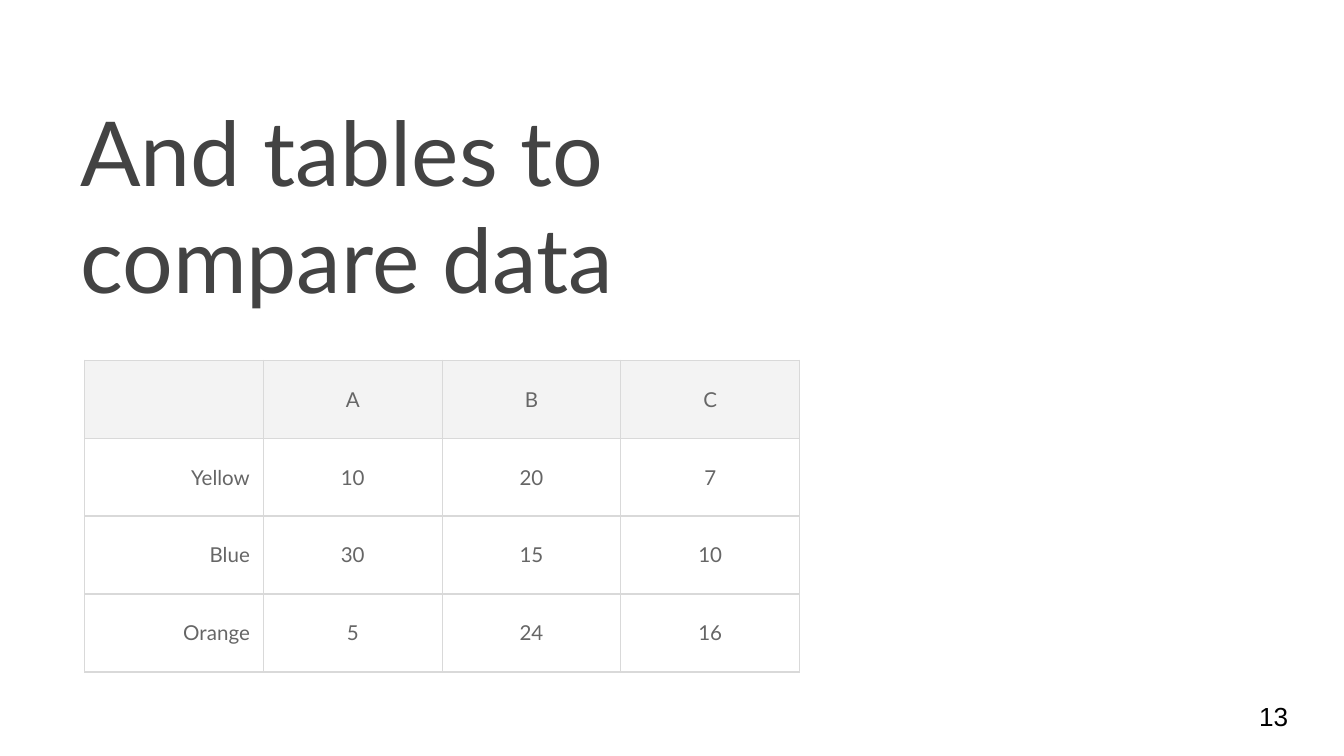
from dataclasses import dataclass

from lxml.etree import SubElement
from pptx import Presentation
from pptx.dml.color import RGBColor
from pptx.enum.text import MSO_ANCHOR, PP_ALIGN
from pptx.oxml.ns import qn
from pptx.slide import Slide
from pptx.table import _Cell
from pptx.text.text import TextFrame
from pptx.util import Inches, Pt

SLIDE_W = 10
SLIDE_H = SLIDE_W * 9 / 16
COL_W, ROW_H = 1.33, 0.58
BORDER, HEADER_FILL = "D9D9D9", "F3F3F3"
ROWS = [
    ("", "A", "B", "C"),
    ("Yellow", "10", "20", "7"),
    ("Blue", "30", "15", "10"),
    ("Orange", "5", "24", "16"),
]


@dataclass(frozen=True)
class Style:
    font: str
    size: float
    color: str


@dataclass(frozen=True)
class Label:
    text: str
    box: tuple[float, float, float, float]
    anchor: MSO_ANCHOR
    style: Style


CELL_STYLE = Style("Lato", 11, "666666")
LABELS = [
    Label("And tables to compare data", (0.5, 1.48, 6.03, 0.94),
          MSO_ANCHOR.BOTTOM, Style("Lato", 48, "434343")),
    Label("13", (9.27, 5.11, 0.6, 0.43),
          MSO_ANCHOR.MIDDLE, Style("Arial", 14, "000000")),
]


def rgb(value: str) -> RGBColor:
    return RGBColor.from_string(value)


def write(tf: TextFrame, text: str, style: Style, align: PP_ALIGN) -> None:
    tf.text = text
    p = tf.paragraphs[0]
    p.alignment = align
    for r in p.runs:
        r.font.name = style.font
        r.font.size = Pt(style.size)
        r.font.color.rgb = rgb(style.color)


def add_label(s: Slide, label: Label) -> None:
    tf = s.shapes.add_textbox(*map(Inches, label.box)).text_frame
    tf.word_wrap = True
    tf.vertical_anchor = label.anchor
    tf.margin_left = tf.margin_right = Inches(0.1)
    tf.margin_top = tf.margin_bottom = Inches(0.1)
    write(tf, label.text, label.style, PP_ALIGN.LEFT)


def add_borders(cell: _Cell) -> None:
    tc_pr = cell._tc.get_or_add_tcPr()
    for side in ("a:lnL", "a:lnR", "a:lnT", "a:lnB"):
        ln = SubElement(tc_pr, qn(side), w=str(Pt(0.75)))
        fill = SubElement(ln, qn("a:solidFill"))
        SubElement(fill, qn("a:srgbClr"), val=BORDER)


def format_cell(cell: _Cell, text: str, header: bool, align: PP_ALIGN) -> None:
    cell.vertical_anchor = MSO_ANCHOR.MIDDLE
    cell.margin_left = cell.margin_right = Inches(0.1)
    cell.margin_top = cell.margin_bottom = Inches(0.07)
    add_borders(cell)
    if header:
        cell.fill.solid()
        cell.fill.fore_color.rgb = rgb(HEADER_FILL)
    else:
        cell.fill.background()
    write(cell.text_frame, text, CELL_STYLE, align)


def add_data_table(s: Slide, left: float, top: float) -> None:
    n_rows, n_cols = len(ROWS), len(ROWS[0])
    table = s.shapes.add_table(
        n_rows, n_cols, Inches(left), Inches(top),
        Inches(n_cols * COL_W), Inches(n_rows * ROW_H)).table
    table.first_row = table.horz_banding = False
    for i, row in enumerate(ROWS):
        for j, text in enumerate(row):
            align = PP_ALIGN.CENTER if j else PP_ALIGN.RIGHT
            format_cell(table.cell(i, j), text, i == 0, align)


def main() -> None:
    """Build the table comparison slide."""
    prs = Presentation()
    prs.slide_width, prs.slide_height = Inches(SLIDE_W), Inches(SLIDE_H)
    s = prs.slides.add_slide(prs.slide_layouts[6])
    for label in LABELS:
        add_label(s, label)
    add_data_table(s, 0.63, 2.68)
    prs.save("out.pptx")


if __name__ == "__main__":
    main()
